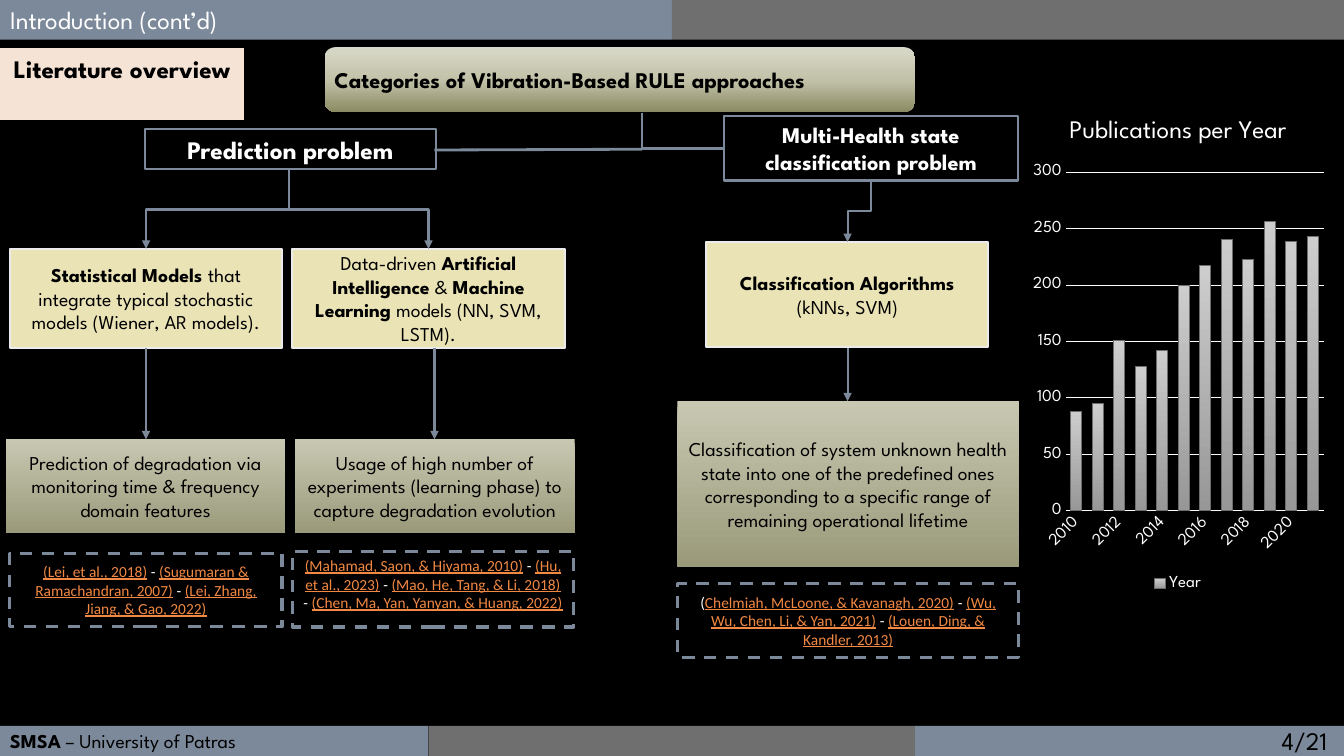
"""Build the literature overview slide with its method tree and chart."""
from lxml.etree import SubElement
from copy import deepcopy
from pptx import Presentation
from pptx.chart.data import CategoryChartData
from pptx.dml.color import RGBColor
from pptx.enum.chart import XL_CHART_TYPE, XL_LEGEND_POSITION, XL_TICK_MARK
from pptx.enum.dml import MSO_LINE
from pptx.enum.shapes import MSO_CONNECTOR, MSO_SHAPE
from pptx.enum.text import MSO_ANCHOR, MSO_AUTO_SIZE, PP_ALIGN
from pptx.oxml.ns import qn
from pptx.util import Cm, Pt

BLACK = RGBColor(0x00, 0x00, 0x00)
WHITE = RGBColor(0xFF, 0xFF, 0xFF)
SLATE = RGBColor(0x7C, 0x89, 0x9A)
GRAY = RGBColor(0x6F, 0x6F, 0x6F)
PEACH = RGBColor(0xF5, 0xE3, 0xD6)
CREAM = RGBColor(0xEA, 0xE3, 0xB5)
PALE = RGBColor(0xEB, 0xEB, 0xEB)
ORANGE = RGBColor(0xF2, 0x89, 0x43)
EDGE = RGBColor(0x6D, 0x6D, 0x6D)
OLIVE = (RGBColor(0xC8, 0xC8, 0xB2), RGBColor(0x9A, 0x9A, 0x7B))
MOSS = (RGBColor(0xD9, 0xD9, 0xC9), RGBColor(0x8B, 0x8B, 0x63))
SAGE = RGBColor(0xC1, 0xC1, 0xA8)
SILVER = (RGBColor(0xCD, 0xCD, 0xCD), RGBColor(0x97, 0x97, 0x97))
FONT = "League Spartan"
MID, TOP = MSO_ANCHOR.MIDDLE, MSO_ANCHOR.TOP


def style(font, size, color, bold=False, name=FONT):
    font.name, font.size, font.bold = name, Pt(size), bold
    font.color.rgb = color


def paint(fill, color):
    if color is None:
        fill.background()
    elif type(color) is tuple:
        fill.gradient()
        fill.gradient_angle = 270
        for stop, tone in zip(fill.gradient_stops, color):
            stop.color.rgb = tone
    else:
        fill.solid()
        fill.fore_color.rgb = color


def box(slide, area, fill=None, line=None, width=0.75, kind=MSO_SHAPE.RECTANGLE):
    shape = slide.shapes.add_shape(kind, *map(Cm, area))
    shape.shadow.inherit = False
    paint(shape.fill, fill)
    paint(shape.line.fill, line)
    shape.line.width = Pt(width)
    return shape


def write(shape, lines, size, color=BLACK, align=PP_ALIGN.CENTER, anchor=MID):
    frame = shape.text_frame
    frame.word_wrap = True
    frame.vertical_anchor = anchor
    for i, runs in enumerate(lines):
        para = frame.add_paragraph() if i else frame.paragraphs[0]
        para.alignment = align
        for text, bold in runs:
            run = para.add_run()
            run.text = text
            style(run.font, size, color, bold)


def cite(slide, area, works, lead="", anchor=MID):
    shape = box(slide, area, None, SLATE, 2.25)
    shape.line.dash_style = MSO_LINE.DASH
    shape.text_frame.word_wrap = True
    shape.text_frame.vertical_anchor = anchor
    para = shape.text_frame.paragraphs[0]
    para.alignment = PP_ALIGN.CENTER
    for i, work in enumerate(works):
        for text, link in ((" - " if i else lead, False), (work, True)):
            if text:
                run = para.add_run()
                run.text = text
                style(run.font, 11, ORANGE if link else WHITE, name="Calibri")
                run.font.underline = link


def link(slide, kind, ends, width):
    line = slide.shapes.add_connector(kind, *map(Cm, ends))
    line.line.color.rgb = SLATE
    line.line.width = Pt(width)
    SubElement(line._element.spPr, qn("a:effectLst"))
    return line


def arrow(slide, x1, y1, x2, y2):
    if x1 == x2:
        line = link(slide, MSO_CONNECTOR.STRAIGHT, (x1, y1, x2, y2), 1.5)
    else:
        side = 1 if x2 < x1 else -1
        mx, my = (x1 + x2) / 2, (y1 + y2) / 2
        dx, dy = side * (x2 - x1) / 2, side * (y2 - y1) / 2
        line = link(slide, MSO_CONNECTOR.ELBOW,
                    (mx - dy, my + dx, mx + dy, my - dx), 1.5)
        line.rotation = 90 if side == 1 else 270
    SubElement(line.line._get_or_add_ln(), qn("a:tailEnd"), type="triangle")


def head(slide):
    title = slide.shapes.title
    title.left, title.top, title.width, title.height = map(Cm, (0, 0, 16.93, 1))
    paint(title.fill, SLATE)
    title.text_frame.auto_size = MSO_AUTO_SIZE.NONE
    write(title, [[("Introduction (cont’d)", False)]], 18, WHITE, PP_ALIGN.LEFT)
    box(slide, (16.93, 0, 16.94, 1), GRAY)
    note = box(slide, (0, 1.22, 6.15, 1.8), PEACH, PEACH)
    write(note, [[("Literature overview", True)]], 18, anchor=TOP)
    top = box(slide, (8.18, 1.19, 14.88, 1.63), MOSS, kind=MSO_SHAPE.ROUNDED_RECTANGLE)
    stops = top._element.spPr.find(qn("a:gradFill")).find(qn("a:gsLst"))
    stops.insert(1, deepcopy(stops[0]))
    mid = top.fill.gradient_stops[1]
    mid.position, mid.color.rgb = 0.52, SAGE
    top.text_frame.margin_left = Cm(0.17)
    write(top, [[("Categories of Vibration-Based RULE approaches", True)]], 16,
          align=PP_ALIGN.LEFT)


def foot(slide):
    left, _, right = [box(slide, (x, 18.29, w, 0.76), fill) for x, w, fill in (
        (0, 10.8, SLATE), (10.8, 12.26, GRAY), (23.06, 10.81, SLATE))]
    for bar in (left, right):
        bar.text_frame.margin_top = bar.text_frame.margin_bottom = 0
    write(left, [[("SMSA", True), (" – University of Patras", False)]], 14,
          align=PP_ALIGN.LEFT)
    right.text_frame.margin_right = Cm(0.42)
    write(right, [[("4/21", False)]], 18, align=PP_ALIGN.RIGHT)


def tree(slide):
    for ends in ((16.18, 2.84, 16.18, 3.76), (10.95, 3.78, 16.18, 3.76),
                 (16.18, 3.74, 18.24, 3.74)):
        link(slide, MSO_CONNECTOR.STRAIGHT, ends, 2)
    for area, lines, size in (
            ((3.66, 3.25, 7.32, 1.02), ["Prediction problem"], 18),
            ((18.24, 2.92, 7.42, 1.63),
             ["Multi-Health state", "classification problem"], 16)):
        write(box(slide, area, None, SLATE, 1.5),
              [[(line, True)] for line in lines], size, WHITE)
    for area, runs in (
            ((0.25, 6.27, 6.86, 2.49), [("Statistical Models ", True), (
                "that integrate typical stochastic models (Wiener, AR models).", False)]),
            ((7.37, 6.27, 6.86, 2.49), [
                ("Data-driven ", False), ("Artificial Intelligence", True), (" & ", False),
                ("Machine Learning", True), (" models (NN, SVM, LSTM).", False)]),
            ((17.8, 6.1, 7.11, 2.64), [
                ("Classification Algorithms ", True), ("(kNNs, SVM)", False)])):
        write(box(slide, area, CREAM, PALE, 1.5), [runs], 14)
    for area, text in (
            ((0.15, 11.07, 7.04, 2.36),
             "Prediction of degradation via monitoring time & frequency domain features"),
            ((7.44, 11.07, 7.04, 2.36), "Usage of high number of experiments "
             "(learning phase) to capture degradation evolution"),
            ((17.07, 10.11, 8.61, 4.19), "Classification of system unknown health state "
             "into one of the predefined ones corresponding to a specific range of "
             "remaining operational lifetime")):
        write(box(slide, area, OLIVE), [[(text, False)]], 14)
    for ends in ((7.29, 4.29, 3.68, 6.27), (7.29, 4.29, 10.8, 6.27),
                 (21.95, 4.55, 21.36, 6.1), (3.68, 8.76, 3.68, 11.07),
                 (10.95, 8.76, 10.95, 11.07), (21.36, 8.76, 21.36, 10.11)):
        arrow(slide, *ends)
    cite(slide, (0.25, 13.94, 6.86, 1.85), [
        "(Lei, et al., 2018)", "(Sugumaran & Ramachandran, 2007)",
        "(Lei, Zhang, Jiang, & Gao, 2022)"])
    cite(slide, (7.37, 13.89, 7.09, 1.91), [
        "(Mahamad, Saon, & Hiyama, 2010)", "(Hu, et al., 2023)",
        "(Mao, He, Tang, & Li, 2018)", "(Chen, Ma, Yan, Yanyan, & Huang, 2022)"],
        anchor=TOP)
    cite(slide, (17.07, 14.71, 8.61, 1.85), [
        "Chelmiah, McLoone, & Kavanagh, 2020)", "(Wu, Wu, Chen, Li, & Yan, 2021)",
        "(Louen, Ding, & Kandler, 2013)"], lead="(")


def plot(slide):
    data = CategoryChartData()
    data.categories = [str(year) for year in range(2010, 2022)]
    data.add_series("Year", (88, 95, 151, 128, 142, 200, 217, 240, 223, 256, 239, 243))
    area = map(Cm, (25.86, 2.46, 7.65, 12.55))
    chart = slide.shapes.add_chart(XL_CHART_TYPE.COLUMN_CLUSTERED, *area, data).chart
    style(chart.font, 12, WHITE)
    run = chart.chart_title.text_frame.paragraphs[0].add_run()
    run.text = "Publications per Year"
    style(run.font, 18, WHITE)
    chart.has_legend = True
    chart.legend.position = XL_LEGEND_POSITION.BOTTOM
    chart.legend.include_in_layout = False
    style(chart.legend.font, 12, WHITE)
    cats, vals = chart.category_axis, chart.value_axis
    for axis in (cats, vals):
        axis.major_tick_mark = axis.minor_tick_mark = XL_TICK_MARK.NONE
        style(axis.tick_labels.font, 12, WHITE)
    cats._element.txPr.find(qn("a:bodyPr")).set("rot", "-2700000")
    vals.minimum_scale, vals.maximum_scale, vals.major_unit = 0, 300, 50
    vals.format.line.fill.background()
    for line in (cats.format.line, vals.major_gridlines.format.line):
        line.color.rgb = WHITE
        line.width = Pt(0.75)
    bars = chart.plots[0]
    bars.gap_width, bars.vary_by_categories = 100, False
    form = bars.series[0].format
    paint(form.fill, SILVER)
    form.line.color.rgb = EDGE
    form.line.width = Pt(0.75)
    root = chart._chartSpace.chart.plotArea
    old = root.find(qn("c:layout"))
    if old is not None:
        root.remove(old)
    frame = root.makeelement(qn("c:layout"))
    root.insert(0, frame)
    spot = SubElement(frame, qn("c:manualLayout"))
    for tag, val in (("layoutTarget", "inner"), ("xMode", "edge"), ("yMode", "edge"),
                     ("x", "0.13"), ("y", "0.15"), ("w", "0.85"), ("h", "0.68")):
        SubElement(spot, qn("c:" + tag), val=val)


def main():
    deck = Presentation()
    deck.slide_width, deck.slide_height = Cm(33.87), Cm(19.05)
    slide = deck.slides.add_slide(deck.slide_layouts[5])
    paint(slide.background.fill, BLACK)
    head(slide)
    tree(slide)
    plot(slide)
    foot(slide)
    deck.save("out.pptx")


if __name__ == "__main__":
    main()
